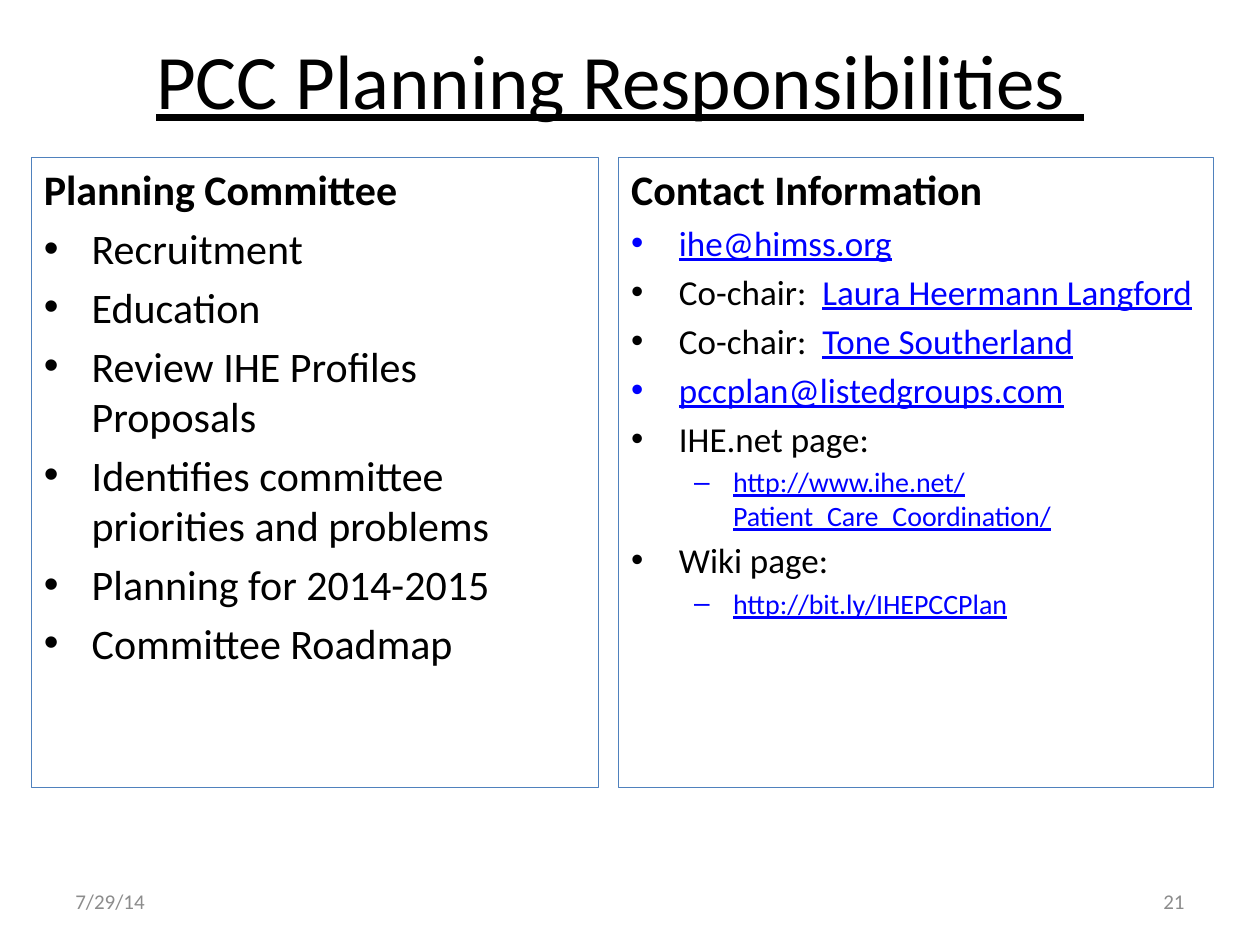
from dataclasses import dataclass

from lxml import etree
from pptx import Presentation
from pptx.dml.color import RGBColor
from pptx.enum import shapes, text
from pptx.oxml.ns import qn
from pptx.util import Inches, Pt


@dataclass(frozen=True)
class Theme:
    font: str = "Calibri"
    bullet_font: str = "Arial"
    ink: str = "000000"
    link: str = "0000FF"
    border: str = "4F81BD"
    muted: str = "8C8C8C"
    title: int = 44
    heading: int = 24
    contact: int = 20
    address: int = 16
    footer: int = 12


# Bullet character, left margin and hanging indent by level
LEVELS = (("•", 0.38, 0.38), ("–", 0.81, 0.31))


class SlideBuilder:
    def __init__(self, slide, theme):
        self.slide = slide
        self.theme = theme

    def add_run(self, paragraph, wording, size, color, bold=False, underline=False):
        run = paragraph.add_run()
        run.text = wording
        style = {"name": self.theme.font, "size": Pt(size),
                 "bold": bold, "underline": underline}
        for name, value in style.items():
            setattr(run.font, name, value)
        run.font.color.rgb = RGBColor.from_string(color)

    def label(self, wording, box, size, color, align, underline=False):
        frame = self.slide.shapes.add_textbox(*map(Inches, box)).text_frame
        frame.word_wrap = True
        frame.vertical_anchor = text.MSO_ANCHOR.MIDDLE
        paragraph = frame.paragraphs[0]
        paragraph.alignment = align
        self.add_run(paragraph, wording, size, color, underline=underline)

    def bullet(self, paragraph, level):
        char, margin, hanging = LEVELS[level]
        properties = paragraph._p.get_or_add_pPr()
        attributes = {"marL": Inches(margin), "indent": -Inches(hanging), "lvl": level}
        for name, value in attributes.items():
            properties.set(name, str(int(value)))
        etree.SubElement(properties, qn("a:buFont"), typeface=self.theme.bullet_font)
        etree.SubElement(properties, qn("a:buChar"), char=char)

    def panel(self, heading, items, box, sizes):
        """Each item is (plain words, link words, level)."""
        panel = self.slide.shapes.add_shape(
            shapes.MSO_SHAPE.RECTANGLE, *map(Inches, box))
        panel.shadow.inherit = False
        panel.fill.background()
        panel.line.color.rgb = RGBColor.from_string(self.theme.border)
        panel.line.width = Pt(0.75)
        frame = panel.text_frame
        frame.word_wrap = True
        frame.vertical_anchor = text.MSO_ANCHOR.TOP

        first = frame.paragraphs[0]
        first.alignment = text.PP_ALIGN.LEFT
        self.add_run(first, heading, self.theme.heading, self.theme.ink, bold=True)
        for plain, link, level in items:
            paragraph = frame.add_paragraph()
            self.bullet(paragraph, level)
            paragraph.alignment = text.PP_ALIGN.LEFT
            size = sizes[level]
            paragraph.space_before = Pt(size * 0.2)
            if plain:
                self.add_run(paragraph, plain, size, self.theme.ink)
            if link:
                self.add_run(paragraph, link, size, self.theme.link, underline=True)


def main():
    deck = Presentation()
    deck.slide_width, deck.slide_height = Inches(10), Inches(7.5)
    theme = Theme()
    page = SlideBuilder(deck.slides.add_slide(deck.slide_layouts[6]), theme)

    # Title
    page.label("PCC Planning Responsibilities ", (0.42, 0, 9, 1.25),
               theme.title, theme.ink, text.PP_ALIGN.CENTER, underline=True)

    # Committee duties
    duties = ("Recruitment", "Education", "Review IHE Profiles Proposals",
              "Identifies committee priorities and problems",
              "Planning for 2014-2015", "Committee Roadmap")
    page.panel("Planning Committee", [(duty, "", 0) for duty in duties],
               (0.25, 1.25, 4.5, 5), (theme.heading,))

    # Contacts
    contacts = (
        ("", "ihe@himss.org", 0),
        ("Co-chair:  ", "Laura Heermann Langford", 0),
        ("Co-chair:  ", "Tone Southerland", 0),
        ("", "pccplan@listedgroups.com", 0),
        ("IHE.net page:", "", 0),
        ("", "http://www.ihe.net/Patient_Care_Coordination/", 1),
        ("Wiki page:", "", 0),
        ("", "http://bit.ly/IHEPCCPlan", 1),
    )
    page.panel("Contact Information", contacts, (4.91, 1.25, 4.72, 5),
               (theme.contact, theme.address))

    # Footer: date and slide number
    for wording, left, align in (("7/29/14", 0.5, text.PP_ALIGN.LEFT),
                                 ("21", 7.17, text.PP_ALIGN.RIGHT)):
        page.label(wording, (left, 6.95, 2.33, 0.4), theme.footer, theme.muted, align)

    deck.save("out.pptx")


if __name__ == "__main__":
    main()
